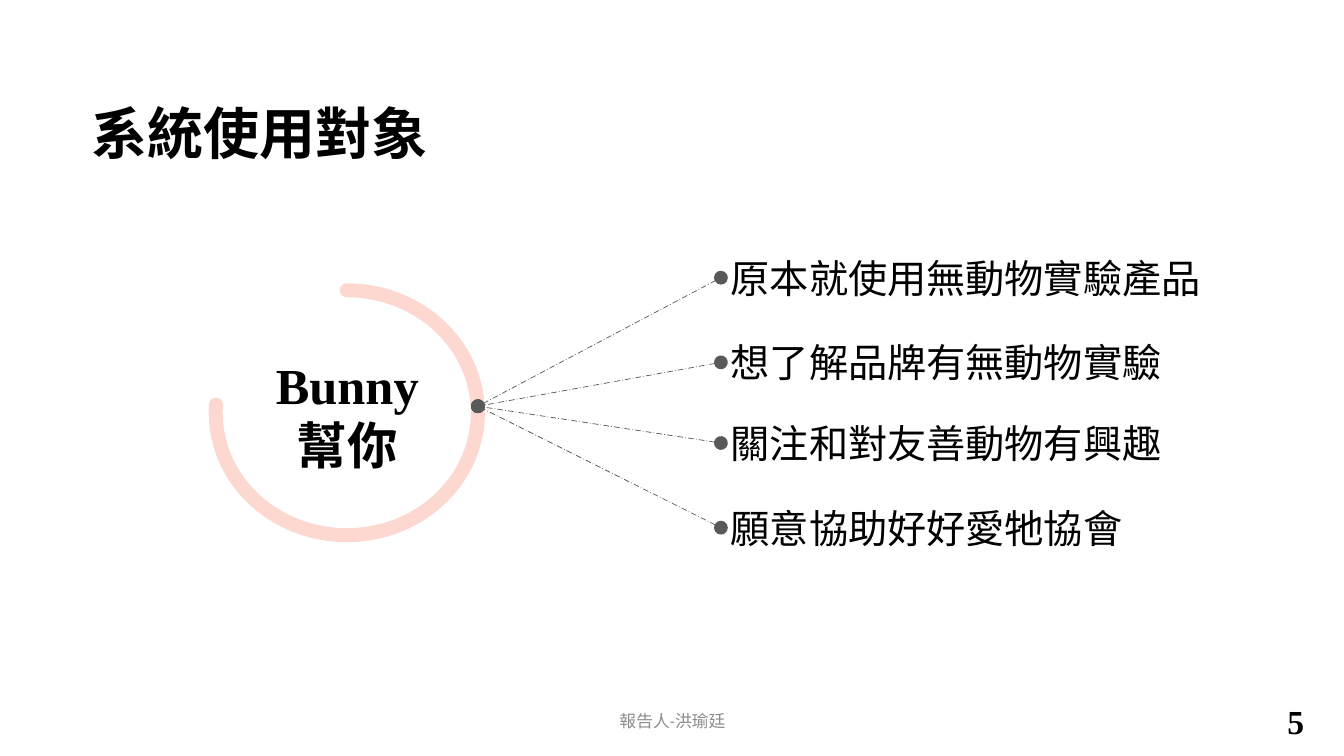
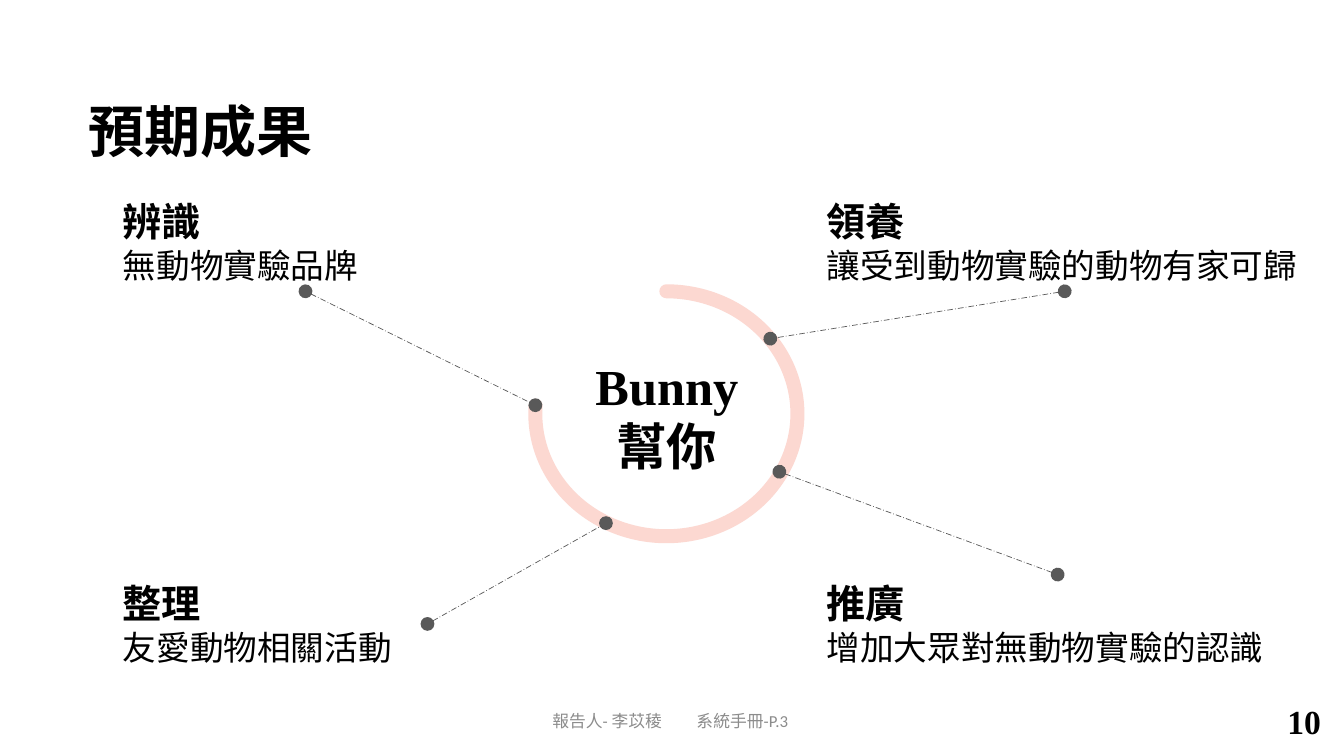
from lxml.etree import SubElement
from pptx import Presentation
from pptx.dml.color import RGBColor
from pptx.enum.dml import MSO_LINE
from pptx.enum.shapes import MSO_CONNECTOR, MSO_SHAPE
from pptx.enum.text import MSO_ANCHOR, MSO_AUTO_SIZE, PP_ALIGN
from pptx.oxml.ns import qn
from pptx.util import Inches, Pt

BLACK = RGBColor(0x00, 0x00, 0x00)
GREY = RGBColor(0x8C, 0x8C, 0x8C)
LINE = RGBColor(0x59, 0x59, 0x59)
PINK = RGBColor(0xFC, 0xD8, 0xD1)
CJK, SERIF, SANS = "Noto Sans CJK SC", "Times New Roman", "Calibri"

HUB_LINES = ["Bunny", "幫你"]
HUB_SIZE = (2.6, 2.43)

USERS = [  # text, top of its box
    ("原本就使用無動物實驗產品", 2.47),
    ("想了解品牌有無動物實驗", 3.31),
    ("關注和對友善動物有興趣", 4.11),
    ("願意協助好好愛牠協會", 4.95),
]
USERS_LEFT, USER_HEIGHT = 7.15, 0.57
USERS_ORIGIN = (4.74, 4.03)

LEFT, RIGHT, TOP, BOTTOM = 1.12, 8.1, 1.91, 5.7
RESULTS = [  # heading, detail, corner, line from the text to the ring
    ("辨識", "無動物實驗品牌", (LEFT, TOP), (3.03, 2.89), (5.31, 4.02)),
    ("領養", "讓受到動物實驗的動物有家可歸", (RIGHT, TOP), (10.56, 2.89), (7.64, 3.36)),
    ("整理", "友愛動物相關活動", (LEFT, BOTTOM), (4.24, 6.19), (6.01, 5.19)),
    ("推廣", "增加大眾對無動物實驗的認識", (RIGHT, BOTTOM), (10.49, 5.7), (7.73, 4.68)),
]


def inches(*values):
    return [Inches(v) for v in values]


def add_run(p, text, size, font=CJK, color=BLACK, bold=False):
    r = p.add_run()
    r.text = text
    f = r.font
    f.name, f.size, f.bold = font, Pt(size), bold
    f.color.rgb = color
    rPr = r._r.get_or_add_rPr()
    rPr.set("lang", "zh-TW")
    SubElement(rPr, qn("a:ea")).set("typeface", CJK)


def add_text(shapes, box, lines, align=PP_ALIGN.LEFT, anchor=MSO_ANCHOR.TOP, wrap=True):
    """Each line is a dict of add_run arguments and becomes one paragraph."""
    tf = shapes.add_textbox(*inches(*box)).text_frame
    tf.word_wrap, tf.vertical_anchor = wrap, anchor
    for i, line in enumerate(lines):
        p = tf.add_paragraph() if i else tf.paragraphs[0]
        p.alignment = align
        add_run(p, **line)
    return tf


def add_slide(prs, title, left, top, number, number_width):
    s = prs.slides.add_slide(prs.slide_layouts.get_by_name("Title Only"))
    sp = s.shapes.title
    sp.left, sp.top, sp.width, sp.height = inches(left, top, 6.5, 0.77)
    tf = sp.text_frame
    tf.auto_size, tf.vertical_anchor = MSO_AUTO_SIZE.NONE, MSO_ANCHOR.TOP
    p = tf.paragraphs[0]
    p.alignment = PP_ALIGN.LEFT
    add_run(p, title, 40, bold=True)
    add_text(s.shapes, (12.67, 6.9, number_width, 0.5),
             [dict(text=number, size=24, font=SERIF, bold=True)], wrap=False)
    return s


def add_footer(s, text, left=4.42, width=4.5, align=PP_ALIGN.CENTER, tab=None):
    tf = add_text(s.shapes, (left, 6.95, width, 0.4),
                  [dict(text=text, size=12, font=SANS, color=GREY)],
                  align, MSO_ANCHOR.MIDDLE)
    if tab:
        stops = SubElement(tf.paragraphs[0]._p.get_or_add_pPr(), qn("a:tabLst"))
        stop = SubElement(stops, qn("a:tab"))
        stop.set("pos", str(Inches(tab)))
        stop.set("algn", "l")


def add_hub(s, left, top):
    """Open ring with the system's name inside."""
    shapes = s.shapes.add_group_shape().shapes
    add_text(shapes, (left + 0.27, top + 0.58, 2.07, 1.31),
             [dict(text=t, size=36, font=SERIF, bold=True) for t in HUB_LINES],
             PP_ALIGN.CENTER)
    arc = shapes.add_shape(MSO_SHAPE.ARC, *inches(left, top, *HUB_SIZE))
    arc.adjustments[0], arc.adjustments[1] = 162, 110.135
    arc.shadow.inherit = False
    arc.fill.background()
    arc.line.color.rgb = PINK
    arc.line.width = Pt(10)
    arc.line._get_or_add_ln().set("cap", "rnd")


def add_link(s, start, end):
    c = s.shapes.add_connector(MSO_CONNECTOR.STRAIGHT, *inches(*start, *end))
    c.line.color.rgb = LINE
    c.line.width = Pt(0.5)
    c.line.dash_style = MSO_LINE.LONG_DASH_DOT
    ln = c.line._get_or_add_ln()
    for tag in ("a:headEnd", "a:tailEnd"):
        end_mark = SubElement(ln, qn(tag))
        for name, value in (("type", "oval"), ("w", "lg"), ("len", "lg")):
            end_mark.set(name, value)
    SubElement(c._element.spPr, qn("a:effectLst"))


def build_users(prs):
    s = add_slide(prs, "系統使用對象", 0.81, 0.93, "5", 0.38)
    add_hub(s, 2.14, 2.88)
    for text, top in USERS:
        add_link(s, (USERS_LEFT, top + USER_HEIGHT / 2), USERS_ORIGIN)
        add_text(s.shapes, (USERS_LEFT, top, 6, USER_HEIGHT), [dict(text=text, size=28)])
    add_footer(s, "報告人-洪瑜廷")


def build_results(prs):
    s = add_slide(prs, "預期成果", 0.78, 0.91, "10", 0.56)
    add_hub(s, 5.31, 2.89)
    for heading, detail, corner, start, end in RESULTS:
        add_text(s.shapes, (*corner, 4.92, 0.98),
                 [dict(text=heading, size=28, bold=True), dict(text=detail, size=24)])
        add_link(s, start, end)
    add_footer(s, "報告人- 李苡稜\t系統手冊-P.3", 5.38, 2.8, PP_ALIGN.LEFT, tab=1.43)


def main():
    prs = Presentation()
    prs.slide_width, prs.slide_height = inches(13.33, 7.5)
    build_users(prs)
    build_results(prs)
    prs.save("out.pptx")


if __name__ == "__main__":
    main()
